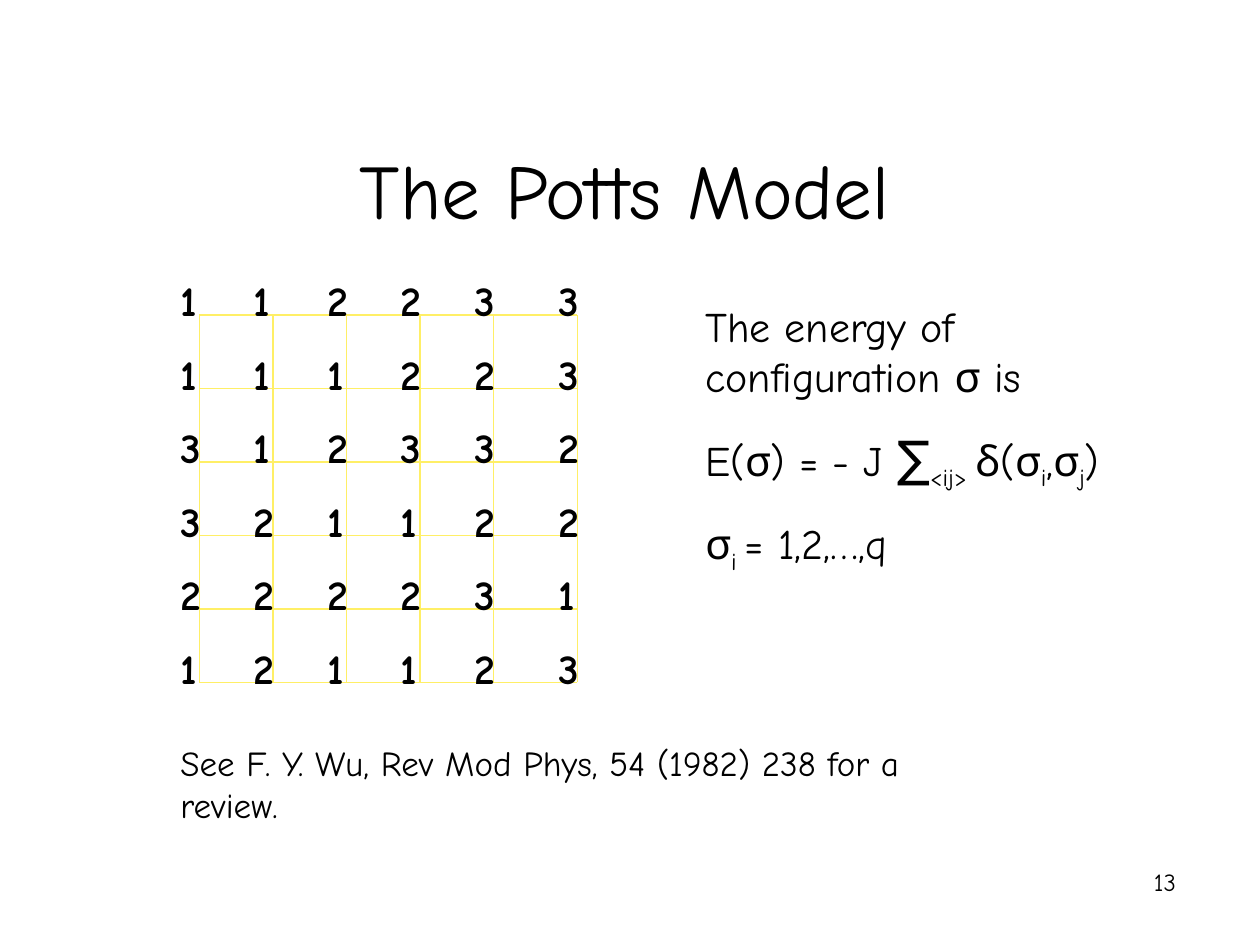
from lxml.etree import SubElement
from pptx import Presentation
from pptx.dml.color import RGBColor
from pptx.enum.shapes import MSO_CONNECTOR as Connector
from pptx.enum.text import MSO_ANCHOR as Anchor, MSO_AUTO_SIZE as AutoSize, PP_ALIGN as Align
from pptx.oxml.ns import qn
from pptx.util import Pt

PX = 7620  # EMU per px, 120 px to the inch
SUBSCRIPT = "-25000"
color = RGBColor.from_string


def write(paragraph, runs, **font_format):
    """Add (text, extra format) runs; a "baseline" entry makes a subscript."""
    for text, extra in runs:
        run = paragraph.add_run()
        run.text = text
        values = {"name": "Comic Neue", **font_format, **extra}
        baseline = values.pop("baseline", None)
        for name, value in values.items():
            setattr(run.font, name, value)
        run.font.color.rgb = color("000000")
        if baseline:
            run.font._element.set("baseline", baseline)


def add_text(left, top, width, height, paragraphs, auto_size=AutoSize.SHAPE_TO_FIT_TEXT,
             space=0, align=Align.LEFT, **font_format):
    shape = slide.shapes.add_textbox(left * PX, top * PX, width * PX, height * PX)
    frame = shape.text_frame
    frame.word_wrap = True
    frame.auto_size = auto_size
    for index, runs in enumerate(paragraphs):
        paragraph = frame.add_paragraph() if index else frame.paragraphs[0]
        paragraph.alignment = align
        if index:
            paragraph.space_before = Pt(space)
        write(paragraph, runs, **font_format)


presentation = Presentation()
presentation.slide_width = 1200 * PX
presentation.slide_height = 900 * PX
slide = presentation.slides.add_slide(presentation.slide_layouts[5])

# Title
title = slide.shapes.title
for name, value in {"left": 90, "top": 20, "width": 1010, "height": 210}.items():
    setattr(title, name, value * PX)
title.text_frame.auto_size = AutoSize.NONE
title.text_frame.vertical_anchor = Anchor.BOTTOM
heading = title.text_frame.paragraphs[0]
heading.alignment = Align.CENTER
write(heading, [("The Potts Model", {})], size=Pt(44))

# Lattice lines: even steps, with a wider last column
columns = [190, 260, 330, 400, 470, 550]
rows = range(300, 651, 70)
lines = [(x, rows[0], x, rows[-1]) for x in columns]
lines += [(columns[0], y, columns[-1], y) for y in rows]
for ends in lines:
    line = slide.shapes.add_connector(Connector.STRAIGHT, *(value * PX for value in ends))
    line.line.color.rgb = color("FFEF66")
    line.line.width = Pt(0.75)
    SubElement(line._element.spPr, qn("a:effectLst"))

# Spin at each lattice site
spins = ["112233", "111223", "312332", "321122", "222231", "121123"]
for y, row in zip(rows, spins):
    for x, spin in zip(columns, row):
        add_text(x - 30, y - 44, 50, 60, [[(spin, {})]], size=Pt(24), bold=True)

# Energy of a configuration
sub = {"baseline": SUBSCRIPT}
energy = [
    [("The energy of configuration σ is", {})],
    [("E(σ) = - J ", {}), ("∑", {"size": Pt(28)}), ("<ij> ", sub), ("δ(σ", {}),
     ("i", sub), (",σ", {}), ("j", sub), (")", {})],
    [("σ", {}), ("i ", sub), ("= 1,2,…,q", {})],
]
add_text(660, 280, 430, 275, energy, space=15, size=Pt(24))

# Reference and page number
reference = "See F. Y. Wu, Rev Mod Phys, 54 (1982) 238 for a review."
add_text(160, 700, 730, 92, [[(reference, {})]], size=Pt(20))
add_text(882, 820, 250, 60, [[("13", {})]], auto_size=AutoSize.NONE,
         align=Align.RIGHT, size=Pt(14))

presentation.save("out.pptx")
